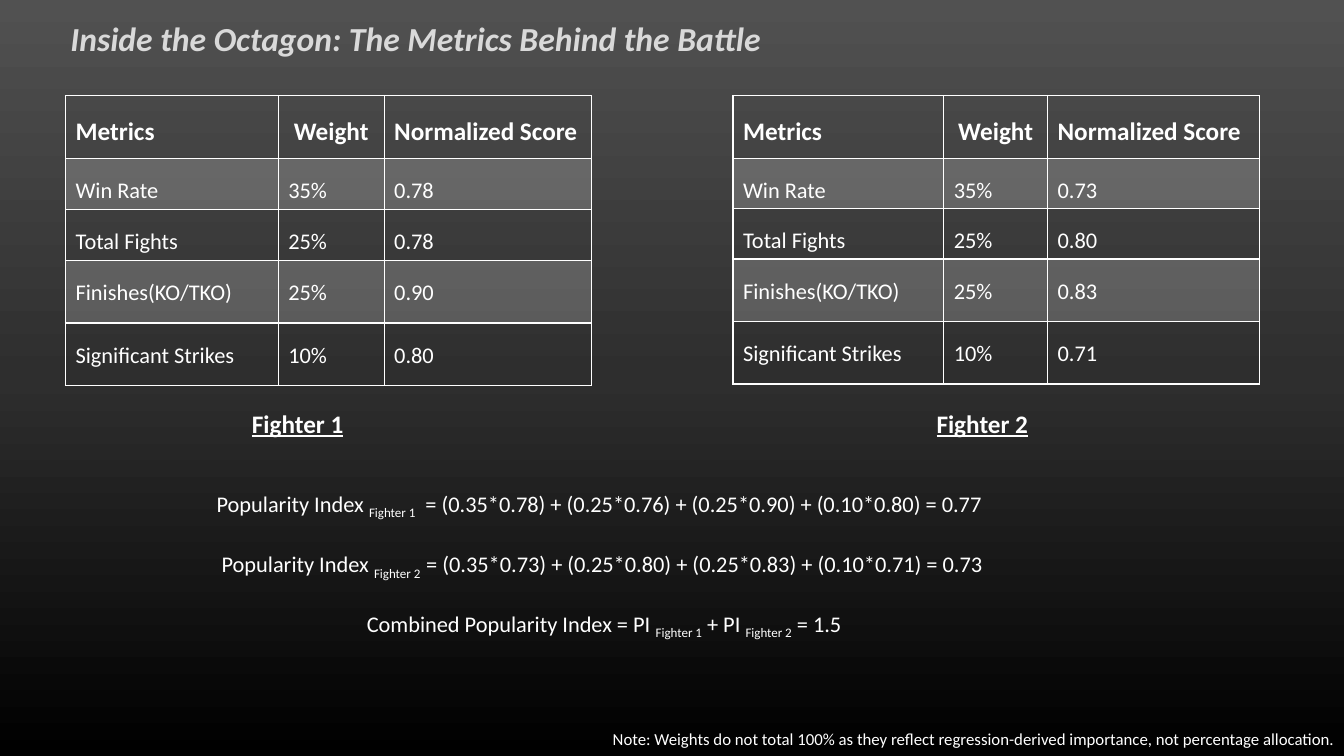
from lxml import etree
from copy import deepcopy
from pptx import Presentation
from pptx.dml.color import RGBColor
from pptx.enum.text import MSO_AUTO_SIZE, PP_ALIGN
from pptx.oxml.ns import qn
from pptx.util import Inches, Pt

FIT_SHAPE = MSO_AUTO_SIZE.SHAPE_TO_FIT_TEXT
LEFT, CENTER, RIGHT = PP_ALIGN.LEFT, PP_ALIGN.CENTER, PP_ALIGN.RIGHT

FONT = "Calibri"
COLORS = {"text": "FFFFFF", "title": "D9D9D9", "grid": "FFFFFF", "band": "FFFFFF"}
BACKGROUND = [(0, "515151"), (0.5, "2E2E2E"), (1, "000000")]
BAND_OPACITY = 20

HEADERS = ["Metrics", "Weight", "Normalized Score"]
METRICS = [
    ("Win Rate", "35%"),
    ("Total Fights", "25%"),
    ("Finishes(KO/TKO)", "25%"),
    ("Significant Strikes", "10%"),
]
FIGHTERS = [
    {"name": "Fighter 1", "scores": ["0.78", "0.78", "0.90", "0.80"],
     "left": 0.65, "columns": [2.11, 1.05, 2.06],
     "rows": [0.62, 0.46, 0.46, 0.62, 0.62], "label_left": 2.4},
    {"name": "Fighter 2", "scores": ["0.73", "0.80", "0.83", "0.71"],
     "left": 7.27, "columns": [2.09, 1.03, 2.1],
     "rows": [0.62, 0.5, 0.5, 0.62, 0.62], "label_left": 9.19},
]
TABLE_TOP = 0.95
LABEL_TOP = 4

FORMULAS = [
    (2.05, 4.81, 8.01, [
        ("Popularity Index ", False), ("Fighter 1", True),
        ("  = (0.35*0.78) + (0.25*0.76) + (0.25*0.90) + (0.10*0.80) = 0.77", False)]),
    (2.1, 5.41, 9.13, [
        ("Popularity Index ", False), ("Fighter 2  ", True),
        ("= (0.35*0.73) + (0.25*0.80) + (0.25*0.83) + (0.10*0.71) = 0.73", False)]),
    (3.54, 6, 5.1, [
        ("Combined Popularity Index = PI ", False), ("Fighter 1", True),
        (" + PI ", False), ("Fighter 2", True), (" = 1.5", False)]),
]
TITLE = "Inside the Octagon: The Metrics Behind the Battle"
NOTE = ("Note: Weights do not total 100% as they reflect regression-derived "
        "importance, not percentage allocation.")


def paint_background(slide):
    fill = slide.background.fill
    fill.gradient()
    fill.gradient_angle = 270
    stop_list = slide.element.find(".//" + qn("a:gsLst"))
    stop_list.append(deepcopy(stop_list[-1]))
    for stop, (position, color) in zip(fill.gradient_stops, BACKGROUND):
        stop.position = position
        stop.color.rgb = RGBColor.from_string(color)


def style(paragraph, size, color="text", bold=False):
    font = paragraph.font
    font.name = FONT
    font.size = Pt(size)
    font.bold = bold
    font.color.rgb = RGBColor.from_string(COLORS[color])
    return font


def add_text(slide, left, top, width, height, spans, size,
             color="text", bold=False, align=LEFT, wrap=True):
    box = slide.shapes.add_textbox(Inches(left), Inches(top), Inches(width), Inches(height))
    frame = box.text_frame
    frame.word_wrap = wrap
    frame.auto_size = FIT_SHAPE
    para = frame.paragraphs[0]
    para.alignment = align
    for text, subscript in spans:
        span = para.add_run()
        span.text = text
        if subscript:
            span._r.get_or_add_rPr().set("baseline", "-25000")
    return style(para, size, color, bold)


def draw_borders(cell):
    properties = cell._tc.get_or_add_tcPr()
    for side in ("a:lnL", "a:lnR", "a:lnT", "a:lnB"):
        line = etree.SubElement(properties, qn(side), w=str(Pt(1)))
        solid = etree.SubElement(line, qn("a:solidFill"))
        etree.SubElement(solid, qn("a:srgbClr"), val=COLORS["grid"])


def fill_cell(cell, banded):
    if not banded:
        cell.fill.background()
        return
    cell.fill.solid()
    cell.fill.fore_color.rgb = RGBColor.from_string(COLORS["band"])
    color = cell._tc.tcPr.find(".//" + qn("a:solidFill") + "[last()]")
    color = cell._tc.tcPr.find(qn("a:solidFill"))[0]
    etree.SubElement(color, qn("a:alpha"), val=str(BAND_OPACITY * 1000))


def add_score_table(slide, fighter):
    columns, rows = fighter["columns"], fighter["rows"]
    frame = slide.shapes.add_table(
        len(rows), len(columns), Inches(fighter["left"]), Inches(TABLE_TOP),
        Inches(sum(columns)), Inches(sum(rows)))
    table = frame.table
    table.first_row = False
    table.horz_banding = False
    for column, width in zip(table.columns, columns):
        column.width = Inches(width)
    for row, height in zip(table.rows, rows):
        row.height = Inches(height)
    content = [HEADERS] + [[*metric, score] for metric, score in zip(METRICS, fighter["scores"])]
    for r, values in enumerate(content):
        header = r == 0
        for c, value in enumerate(values):
            cell = table.cell(r, c)
            cell.text = value
            para = cell.text_frame.paragraphs[0]
            para.line_spacing = 1.5
            para.alignment = CENTER if header and c == 1 else LEFT
            style(para, 18 if header else 16, bold=header)
            draw_borders(cell)
            fill_cell(cell, r % 2 == 1)


def main():
    deck = Presentation()
    deck.slide_width = Inches(13.33)
    deck.slide_height = Inches(7.5)
    page = deck.slides.add_slide(deck.slide_layouts[6])
    paint_background(page)

    for fighter in FIGHTERS:
        add_score_table(page, fighter)
        label = add_text(page, fighter["label_left"], LABEL_TOP, 1.11, 0.4,
                         [(fighter["name"], False)], 18, bold=True, wrap=False)
        label.underline = True
    for left, top, width, spans in FORMULAS:
        add_text(page, left, top, width, 0.37, spans, 16)
    title = add_text(page, 0.6, 0.13, 10.54, 0.5, [(TITLE, False)], 24, "title", bold=True)
    title.italic = True
    add_text(page, 5.75, 7.18, 7.59, 0.3, [(NOTE, False)], 12, align=RIGHT)

    deck.save("out.pptx")


if __name__ == "__main__":
    main()
